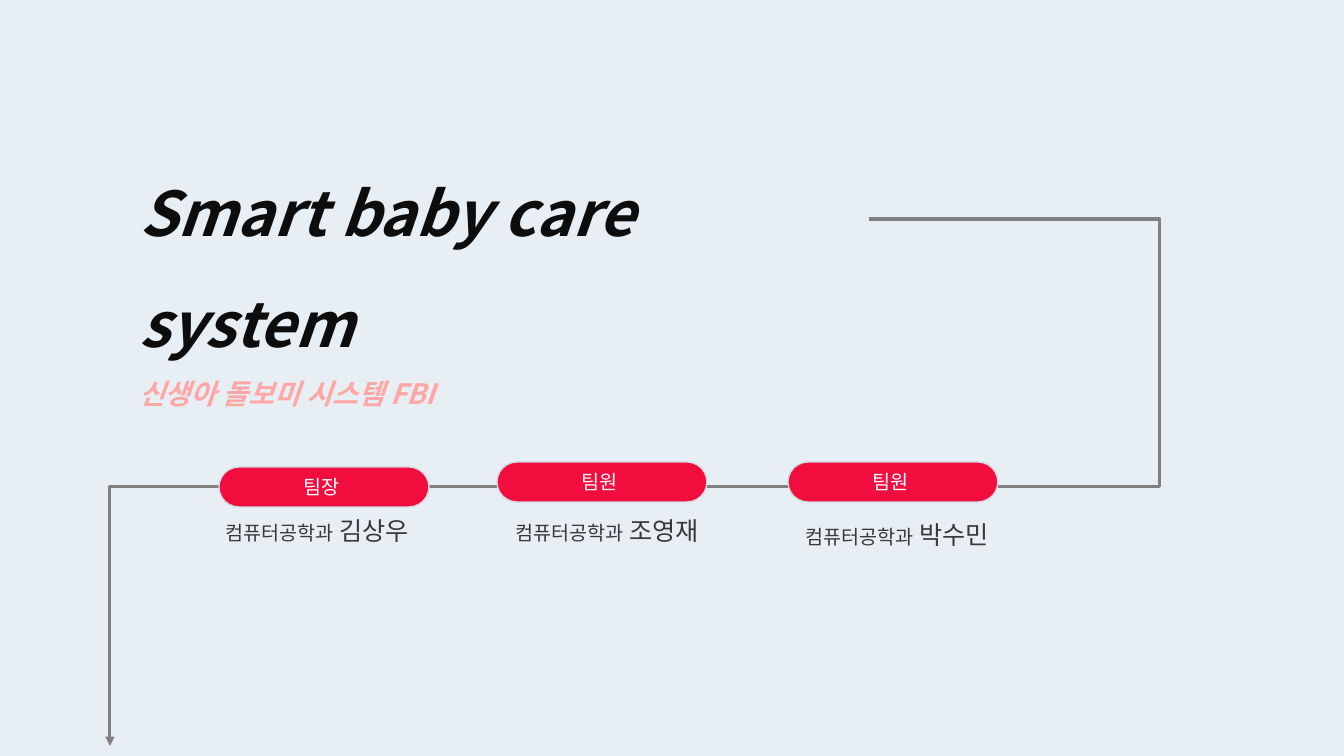
from pptx import Presentation
from pptx.dml.color import RGBColor
from pptx.enum.shapes import MSO_CONNECTOR, MSO_SHAPE
from pptx.enum.text import MSO_ANCHOR, MSO_AUTO_SIZE, PP_ALIGN
from pptx.oxml.ns import qn
from pptx.util import Emu, Pt
from lxml import etree

ELBOW = MSO_CONNECTOR.ELBOW
ROUNDED = MSO_SHAPE.ROUNDED_RECTANGLE
TOP, MIDDLE = MSO_ANCHOR.TOP, MSO_ANCHOR.MIDDLE
GROW = MSO_AUTO_SIZE.SHAPE_TO_FIT_TEXT
LEFT, CENTER = PP_ALIGN.LEFT, PP_ALIGN.CENTER

EMU_PER_PX = 914400 / 100.8
FONT = "Noto Sans CJK KR"
COLORS = {
    "background": "E8EFF4",
    "route": "808080",
    "title": "0D0D0D",
    "subtitle": "FFA7A7",
    "pill": "F10D3E",
    "pill_edge": "D2D8E4",
    "pill_text": "FFFFFF",
    "member": "3B3838",
}
PILL_WIDTH, PILL_HEIGHT, LABEL_HEIGHT = 210, 40, 56

# role, pill left and top, name spans, label left, top and width
TEAM = [
    ("팀장 ", (219, 467), [(" 김상우", 18)], (180, 495, 274)),
    ("팀원 ", (497, 462), [(" 조영재", 18), (" ", 11)], (495, 495, 228)),
    ("팀원 ", (788, 462), [(" 박수민", 18)], (786, 499, 222)),
]


def px(length):
    return Emu(round(length * EMU_PER_PX))


def color(name):
    return RGBColor.from_string(COLORS[name])


def add_span(para, text, *, size, fill, bold=False, italic=False):
    span = para.add_run()
    span.text = text
    font = span.font
    font.name, font.size = FONT, Pt(size)
    font.bold, font.italic = bold, italic
    font.color.rgb = color(fill)
    # East Asian typeface for the Korean text
    east_asian = etree.SubElement(font._element, qn("a:ea"))
    east_asian.set("typeface", FONT)


def set_title(page):
    title = page.shapes.title
    title.left, title.top = px(129), px(133)
    title.width, title.height = px(740), px(173)
    frame = title.text_frame
    frame.word_wrap, frame.auto_size = True, GROW
    frame.vertical_anchor = TOP
    lines = [
        ("Smart baby care system", 44, "title"),
        ("신생아 돌보미 시스템 FBI", 20, "subtitle"),
    ]
    for index, (text, size, fill) in enumerate(lines):
        para = frame.add_paragraph() if index else frame.paragraphs[0]
        para.alignment, para.line_spacing = LEFT, 1.5
        add_span(para, text, size=size, fill=fill, bold=True, italic=True)


def add_route(page):
    route = page.shapes.add_connector(ELBOW, px(869), px(219), px(110), px(746))
    route.line.color.rgb = color("route")
    route.line.width = Pt(2.25)
    properties = route._element.spPr
    # Four-segment bend: out to the right, then back along the team row
    geometry = properties.find(qn("a:prstGeom"))
    geometry.set("prst", "bentConnector4")
    guides = geometry.find(qn("a:avLst"))
    for name, value in (("adj1", -38300), ("adj2", 50700)):
        etree.SubElement(guides, qn("a:gd"), name=name, fmla=f"val {value}")
    # Arrowhead and no shadow
    etree.SubElement(properties.find(qn("a:ln")), qn("a:tailEnd"), type="triangle")
    etree.SubElement(properties, qn("a:effectLst"))


def add_pill(page, role, left, top):
    pill = page.shapes.add_shape(
        ROUNDED, px(left), px(top), px(PILL_WIDTH), px(PILL_HEIGHT))
    pill.adjustments[0] = 0.5
    pill.shadow.inherit = False
    pill.fill.solid()
    pill.fill.fore_color.rgb = color("pill")
    pill.line.color.rgb = color("pill_edge")
    pill.line.width = Pt(1)
    pill.text_frame.vertical_anchor = MIDDLE
    para = pill.text_frame.paragraphs[0]
    para.alignment = CENTER
    add_span(para, role, size=14, fill="pill_text")


def add_member(page, name_spans, left, top, width):
    box = page.shapes.add_textbox(px(left), px(top), px(width), px(LABEL_HEIGHT))
    frame = box.text_frame
    frame.word_wrap, frame.auto_size = True, GROW
    para = frame.paragraphs[0]
    para.alignment, para.line_spacing = CENTER, 1.5
    for text, size in [("컴퓨터공학과", 14), *name_spans]:
        add_span(para, text, size=size, fill="member")


def main():
    deck = Presentation()
    deck.slide_width, deck.slide_height = px(1344), px(756)
    page = deck.slides.add_slide(deck.slide_layouts[5])
    page.background.fill.solid()
    page.background.fill.fore_color.rgb = color("background")

    set_title(page)
    add_route(page)
    # Team row
    for role, pill_place, name_spans, label_place in TEAM:
        add_pill(page, role, *pill_place)
        add_member(page, name_spans, *label_place)

    deck.save("out.pptx")


if __name__ == "__main__":
    main()
